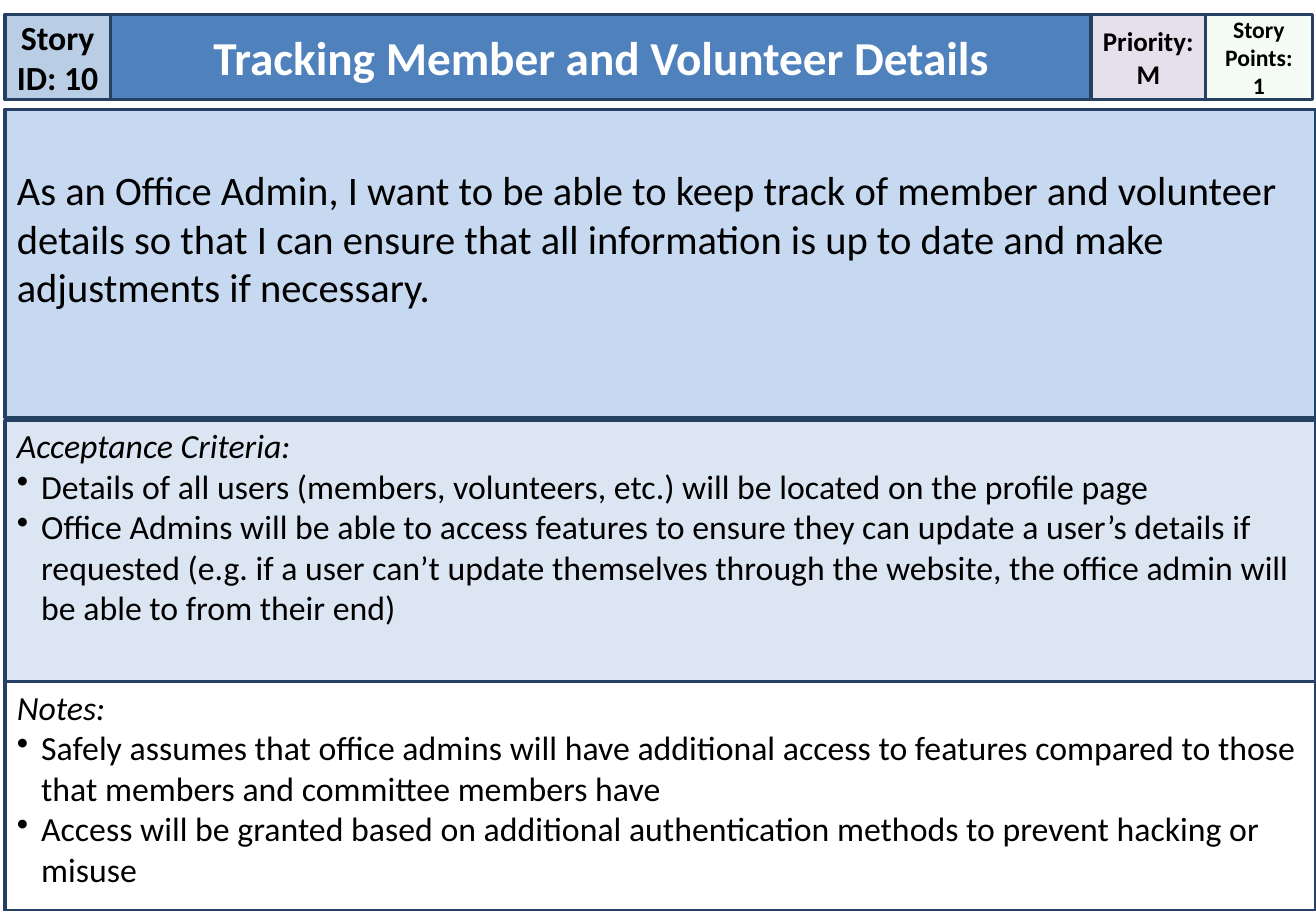
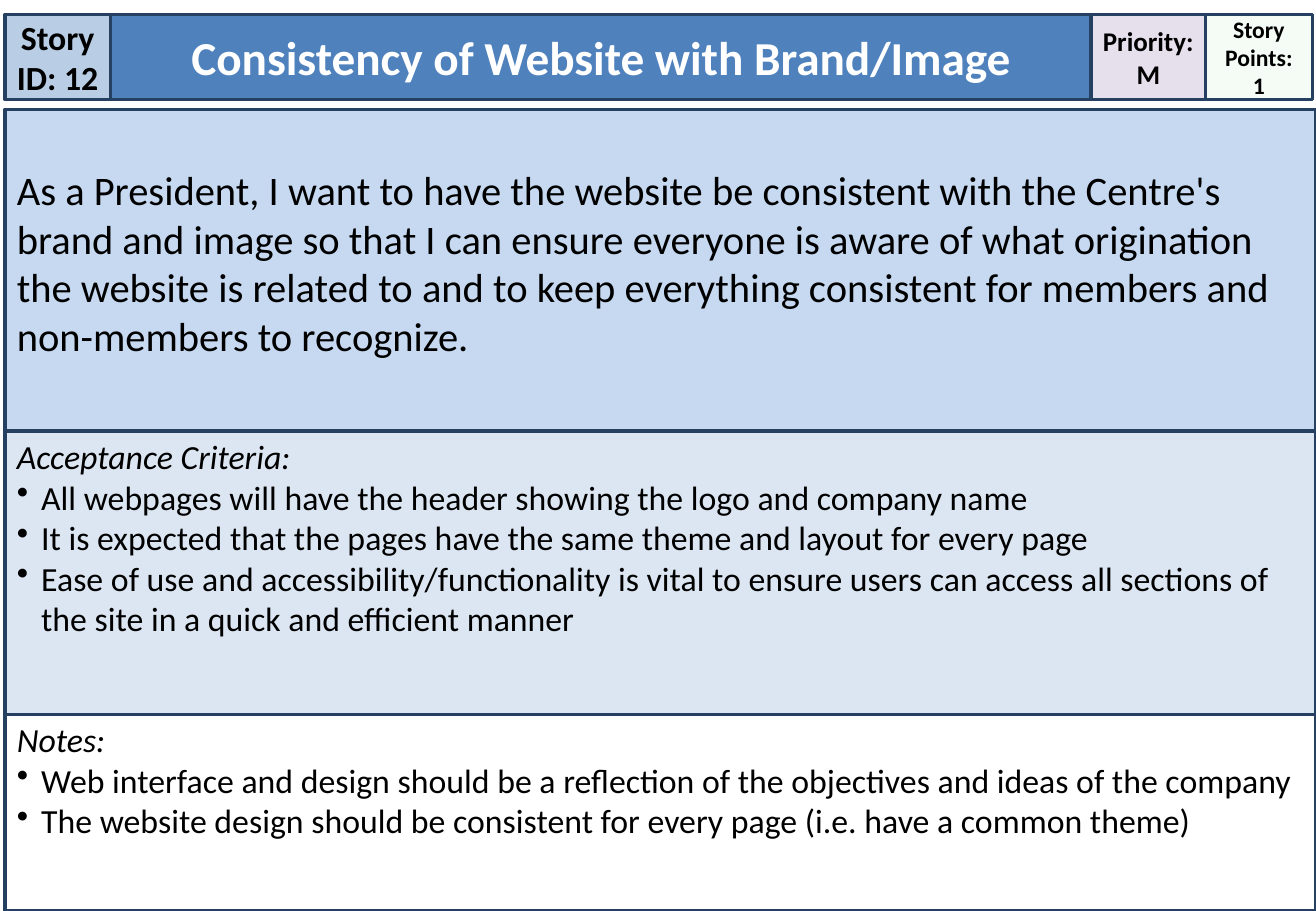
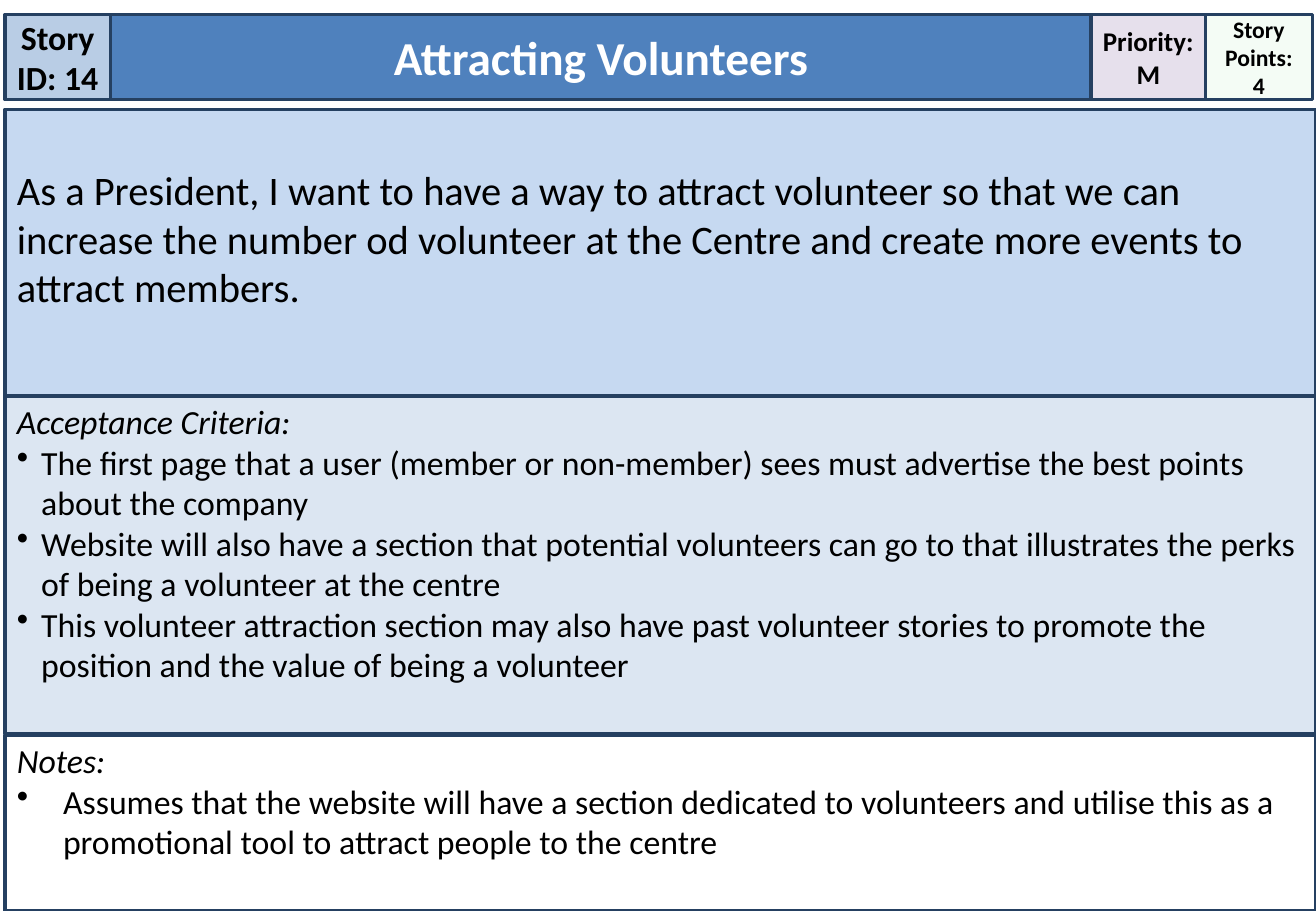
from dataclasses import dataclass
from itertools import pairwise

from lxml.etree import SubElement
from pptx import Presentation
from pptx.dml.color import RGBColor
from pptx.enum.shapes import MSO_SHAPE
from pptx.enum.text import MSO_ANCHOR, MSO_AUTO_SIZE, PP_ALIGN
from pptx.oxml.ns import qn
from pptx.shapes.autoshape import Shape
from pptx.slide import Slide
from pptx.util import Inches, Pt


@dataclass(frozen=True)
class Theme:
    font: str = "Calibri"
    ink: str = "000000"
    white: str = "FFFFFF"
    edge: str = "254061"
    bar: str = "4F81BD"
    tag: str = "B9CDE5"
    rank: str = "E6E0EC"
    points: str = "CCF0CD"
    want: str = "C6D9F1"
    tests: str = "DCE6F2"
    rule: float = 2
    title: int = 28
    lead: int = 24
    body: int = 20
    label: int = 16
    small: int = 14


@dataclass(frozen=True)
class Box:
    left: float
    top: float
    right: float
    foot: float


@dataclass(frozen=True)
class Look:
    fill: str
    size: int
    ink: str = Theme.ink
    bold: bool = False
    mid: bool = False
    pad: tuple[float, float, float, float] = (0.1, 0.05, 0.1, 0.05)
    wrap: bool = True


@dataclass(frozen=True)
class Story:
    code: int
    title: str
    rank: str
    points: int
    want: str
    tests: tuple[str, ...]
    notes: tuple[str, ...]
    cuts: tuple[float, float, float, float]
    hang: float = 0.2


THEME = Theme()
WIDE, HIGH = 10.83, 7.5
COLS = (0.04, 0.91, 8.98, 9.92, 10.8)
HEAD = (0.12, 0.82)
BODY = 0.9
TIGHT = (0, 0.05, 0, 0.05)
LIST = (0.1, 0.04, 0.1, 0.05)

TAG = Look(THEME.tag, THEME.body, bold=True, mid=True, pad=TIGHT)
BAR = Look(THEME.bar, THEME.title, THEME.white, bold=True, mid=True)
RANK = Look(THEME.rank, THEME.label, bold=True, mid=True, pad=TIGHT, wrap=False)
POINTS = Look(THEME.points, THEME.small, bold=True, mid=True, pad=TIGHT)
WANT = Look(THEME.want, THEME.lead, pad=(0.1, 0.46, 0.1, 0.05))
TESTS = Look(THEME.tests, THEME.body, pad=LIST)
NOTES = Look(THEME.white, THEME.body, pad=LIST)

STORIES = (
    Story(
        10, "Tracking Member and Volunteer Details", "M", 1,
        "As an Office Admin, I want to be able to keep track of member and volunteer "
        "details so that I can ensure that all information is up to date and make "
        "adjustments if necessary.",
        (
            "Details of all users (members, volunteers, etc.) will be located on the profile page",
            "Office Admins will be able to access features to ensure they can update a user’s "
            "details if requested (e.g. if a user can’t update themselves through the website, "
            "the office admin will be able to from their end)",
        ),
        (
            "Safely assumes that office admins will have additional access to features "
            "compared to those that members and committee members have",
            "Access will be granted based on additional authentication methods to prevent "
            "hacking or misuse",
        ),
        (3.44, 3.46, 5.61, 5.61),
    ),
    Story(
        12, "Consistency of Website with Brand/Image", "M", 1,
        "As a President, I want to have the website be consistent with the Centre's brand "
        "and image so that I can ensure everyone is aware of what origination the website "
        "is related to and to keep everything consistent for members and non-members to "
        "recognize.",
        (
            "All webpages will have the header showing the logo and company name",
            "It is expected that the pages have the same theme and layout for every page",
            "Ease of use and accessibility/functionality is vital to ensure users can access "
            "all sections of the site in a quick and efficient manner",
        ),
        (
            "Web interface and design should be a reflection of the objectives and ideas of "
            "the company",
            "The website design should be consistent for every page (i.e. have a common theme)",
        ),
        (3.55, 3.55, 5.9, 5.88),
    ),
    Story(
        14, "Attracting Volunteers", "M", 4,
        "As a President, I want to have a way to attract volunteer so that we can increase "
        "the number od volunteer at the Centre and create more events to attract members.",
        (
            "The first page that a user (member or non-member) sees must advertise the best "
            "points about the company",
            "Website will also have a section that potential volunteers can go to that "
            "illustrates the perks of being a volunteer at the centre",
            "This volunteer attraction section may also have past volunteer stories to "
            "promote the position and the value of being a volunteer",
        ),
        (
            "Assumes that the website will have a section dedicated to volunteers and utilise "
            "this as a promotional tool to attract people to the centre",
        ),
        (3.26, 3.26, 6.04, 6.05),
        hang=0.38,
    ),
)


def style(shape: Shape, box: Box, look: Look, lines: tuple[str, ...]) -> Shape:
    shape.left, shape.top = Inches(box.left), Inches(box.top)
    shape.width = Inches(box.right - box.left)
    shape.height = Inches(box.foot - box.top)
    shape.fill.solid()
    shape.fill.fore_color.rgb = RGBColor.from_string(look.fill)
    shape.line.color.rgb = RGBColor.from_string(THEME.edge)
    shape.line.width = Pt(THEME.rule)
    frame = shape.text_frame
    frame.auto_size = MSO_AUTO_SIZE.NONE
    frame.word_wrap = look.wrap
    frame.vertical_anchor = MSO_ANCHOR.MIDDLE if look.mid else MSO_ANCHOR.TOP
    frame.margin_left, frame.margin_top, frame.margin_right, frame.margin_bottom = map(
        Inches, look.pad
    )
    frame.text = "\n".join(lines)
    for para in frame.paragraphs:
        para.alignment = PP_ALIGN.CENTER if look.mid else PP_ALIGN.LEFT
        font = para.font
        font.name, font.size, font.bold = THEME.font, Pt(look.size), look.bold
        font.color.rgb = RGBColor.from_string(look.ink)
    return shape


def panel(slide: Slide, box: Box, look: Look, *lines: str) -> Shape:
    shape = slide.shapes.add_shape(MSO_SHAPE.RECTANGLE, 0, 0, 0, 0)
    shape.shadow.inherit = False
    return style(shape, box, look, lines)


def bullet(para, hang: float) -> None:
    props = para._p.get_or_add_pPr()
    props.set("marL", str(Inches(hang)))
    props.set("indent", str(-Inches(hang)))
    mark = SubElement(props, qn("a:buChar"))
    mark.set("char", "•")
    props.insert(0, mark)


def listing(
    slide: Slide, box: Box, look: Look, head: str, items: tuple[str, ...], hang: float = 0.2
) -> None:
    first, *rest = panel(slide, box, look, head, *items).text_frame.paragraphs
    first.font.italic = True
    for para in rest:
        bullet(para, hang)


def fade(shape: Shape, share: int) -> None:
    tint = shape.fill._xPr.find(qn("a:solidFill"))[0]
    SubElement(tint, qn("a:alpha")).set("val", str(share * 1000))


def card(slide: Slide, story: Story) -> None:
    top, foot = HEAD
    tag, bar, rank, points = (Box(a, top, b, foot) for a, b in pairwise(COLS))
    marks = (BODY, *story.cuts, HIGH)
    want, tests, notes = (
        Box(COLS[0], a, WIDE, b) for a, b in zip(marks[::2], marks[1::2])
    )
    style(slide.shapes.title, bar, BAR, (story.title,))
    panel(slide, tag, TAG, f"Story ID: {story.code}")
    panel(slide, want, WANT, story.want)
    listing(slide, tests, TESTS, "Acceptance Criteria:", story.tests)
    fade(panel(slide, points, POINTS, "Story Points:", str(story.points)), 20)
    panel(slide, rank, RANK, "Priority:", story.rank)
    listing(slide, notes, NOTES, "Notes:", story.notes, story.hang)


def main() -> None:
    deck = Presentation()
    deck.slide_width, deck.slide_height = Inches(WIDE), Inches(HIGH)
    plain = deck.slide_layouts.get_by_name("Title Only")
    for story in STORIES:
        card(deck.slides.add_slide(plain), story)
    deck.save("out.pptx")


if __name__ == "__main__":
    main()
